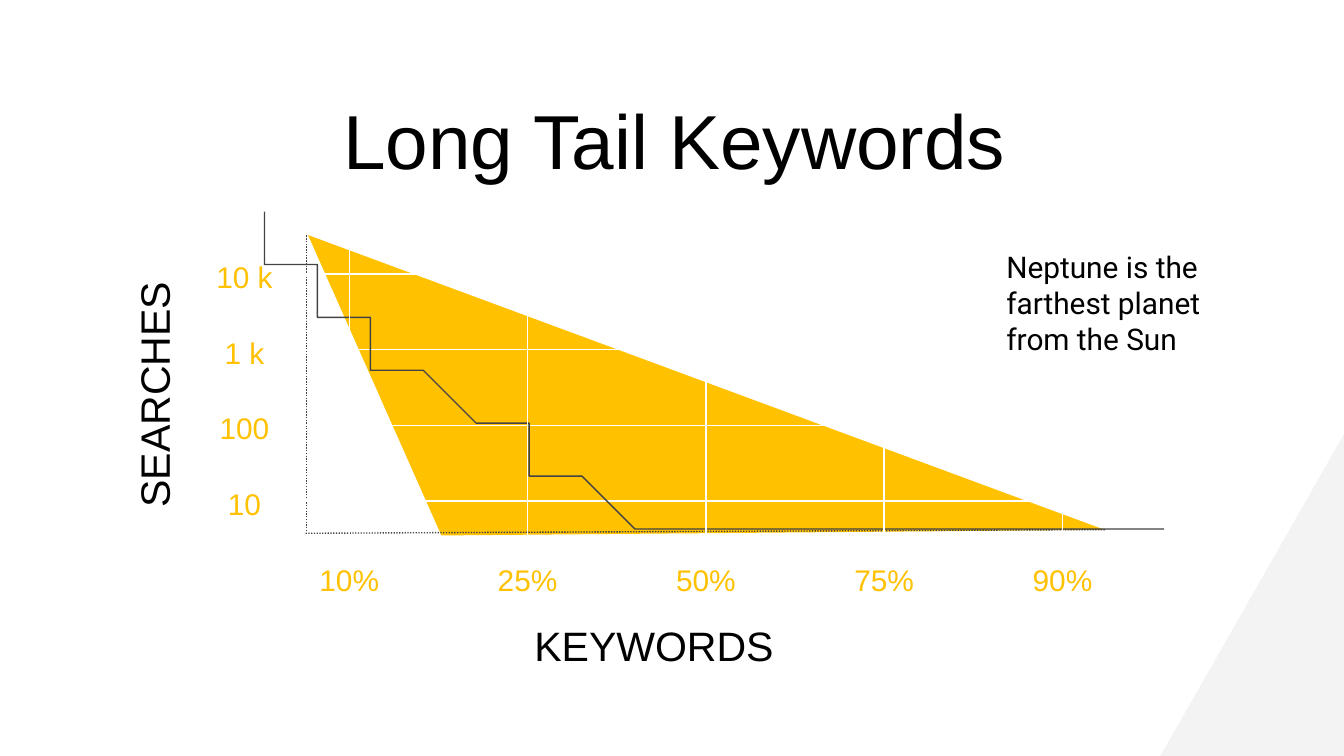
from lxml import etree
from pptx import Presentation
from pptx import util as u
from pptx.dml.color import RGBColor
from pptx.enum import dml, shapes, text
from pptx.oxml.ns import qn

HUES = {"ink": "000000", "gold": "FFC100", "gray": "434343",
        "grid": "FFFFFF", "pale": "F3F3F3"}
SIDE = u.Cm(0.25)


def hue(name):
    return RGBColor.from_string(HUES[name])


def write(frame, words, size=16, color="gold", font="Arial", center=True,
          anchor=text.MSO_ANCHOR.MIDDLE, space=1.15, top=SIDE):
    frame.word_wrap = True
    frame.auto_size = text.MSO_AUTO_SIZE.NONE
    frame.vertical_anchor = anchor
    frame.margin_left = frame.margin_right = frame.margin_bottom = SIDE
    frame.margin_top = top
    para = frame.paragraphs[0]
    para.text = words
    para.alignment = text.PP_ALIGN.CENTER if center else text.PP_ALIGN.LEFT
    para.line_spacing = space
    para.font.size = u.Pt(size)
    para.font.name = font
    para.font.color.rgb = hue(color)


def bezier(start, curves, steps=24):
    """Return points along a chain of cubic curves, after the start."""
    points = []
    for one, two, end in curves:
        for i in range(1, steps + 1):
            t = i / steps
            s = 1 - t
            points.append(tuple(
                s**3 * a + 3 * s * s * t * b + 3 * s * t * t * c + t**3 * d
                for a, b, c, d in zip(start, one, two, end)))
        start = end
    return points


class Deck:
    def __init__(self):
        self.prs = Presentation()
        self.prs.slide_width = u.Cm(25.4)
        self.prs.slide_height = u.Cm(14.29)
        self.slide = self.prs.slides.add_slide(self.prs.slide_layouts[5])
        self.items = self.slide.shapes

    def title(self, words, box):
        item = self.items.title
        item.left, item.top, item.width, item.height = map(u.Cm, box)
        write(item.text_frame, words, size=41, color="ink", space=1,
              anchor=text.MSO_ANCHOR.TOP, top=u.Cm(0.39))

    def label(self, words, mid, size, turn=0, **style):
        """Place a text box around its middle point."""
        (x, y), (w, h) = mid, size
        box = self.items.add_textbox(*map(u.Cm, (x - w / 2, y - h / 2, w, h)))
        box.rotation = turn
        write(box.text_frame, words, **style)

    def solid(self, kind, box, turn, color):
        item = self.items.add_shape(kind, *map(u.Cm, box))
        item.rotation = turn
        item.shadow.inherit = False
        item.fill.solid()
        item.fill.fore_color.rgb = hue(color)
        item.line.fill.background()
        return item

    def stroke(self, line, color):
        line.color.rgb = hue(color)
        line.width = u.Pt(0.75)

    def line(self, start, end, color="grid", dotted=False):
        item = self.items.add_connector(
            shapes.MSO_CONNECTOR.STRAIGHT, *map(u.Cm, start + end))
        self.stroke(item.line, color)
        if dotted:
            item.line.dash_style = dml.MSO_LINE.ROUND_DOT
        etree.SubElement(item._element.spPr, qn("a:effectLst"))

    def curve(self, start, curves, color):
        pen = self.items.build_freeform(*start, scale=u.Cm(1))
        pen.add_line_segments(bezier(start, curves), close=False)
        item = pen.convert_to_shape()
        item.shadow.inherit = False
        item.fill.background()
        self.stroke(item.line, color)


def main():
    deck = Deck()
    kinds = shapes.MSO_SHAPE
    deck.solid(kinds.RIGHT_TRIANGLE, (20.62, 9.5, 6.1, 3.48), 270, "pale")
    deck.title("Long Tail Keywords", (1.5, 1.37, 22.5, 1.6))

    tail = deck.solid(kinds.ISOSCELES_TRIANGLE, (4.55, 7.09, 16.05, 4.45),
                      200.3, "gold")
    tail.adjustments[0] = 0.73
    deck.line((5.79, 4.45), (5.79, 10.06), "gray", dotted=True)
    deck.line((20.88, 10.01), (5.77, 10.08), "gray", dotted=True)

    for i, words in enumerate(("10 k", "1 k", "100", "10")):
        y = 5.18 + 1.43 * i
        left = 5.59 if i == 0 else 5.79
        deck.line((left, y), (left + 15.32, y))
        deck.label(words, (4.62, y), (1.63, 1.24))

    deck.curve((5, 4.09), [
        ((5.69, 4.72), (7.9, 7.11), (9.14, 8.03)),
        ((10.36, 8.97), (10.29, 9.27), (12.37, 9.65)),
        ((14.45, 10.03), (20.07, 10.21), (21.59, 10.31)),
    ], "gray")

    for i, words in enumerate(("10%", "25%", "50%", "75%", "90%")):
        x = 6.6 + 3.37 * i
        deck.line((x, 4.29), (x, 10.21))
        deck.label(words, (x, 10.91), (2.21, 1.24))

    axis = {"size": (5.61, 1.24), "color": "ink"}
    for words, mid, wide, turn in (("SEARCHES", (2.83, 7.46), 5.61, 270),
                                   ("KEYWORDS", (12.36, 12.13), 6.73, 0)):
        box = deck.items.add_textbox(*map(u.Cm, (
            mid[0] - wide / 2, mid[1] - axis["size"][1] / 2,
            wide, axis["size"][1])))
        box.rotation = turn
        write(box.text_frame, words, size=22, color=axis["color"])

    note = deck.items.add_textbox(*map(u.Cm, (18.77, 4.45, 4.57, 2.69)))
    write(note.text_frame, "Neptune is the farthest planet from the Sun",
          color="ink", font="Roboto", center=False, space=1,
          anchor=text.MSO_ANCHOR.TOP)
    deck.prs.save("out.pptx")


if __name__ == "__main__":
    main()
